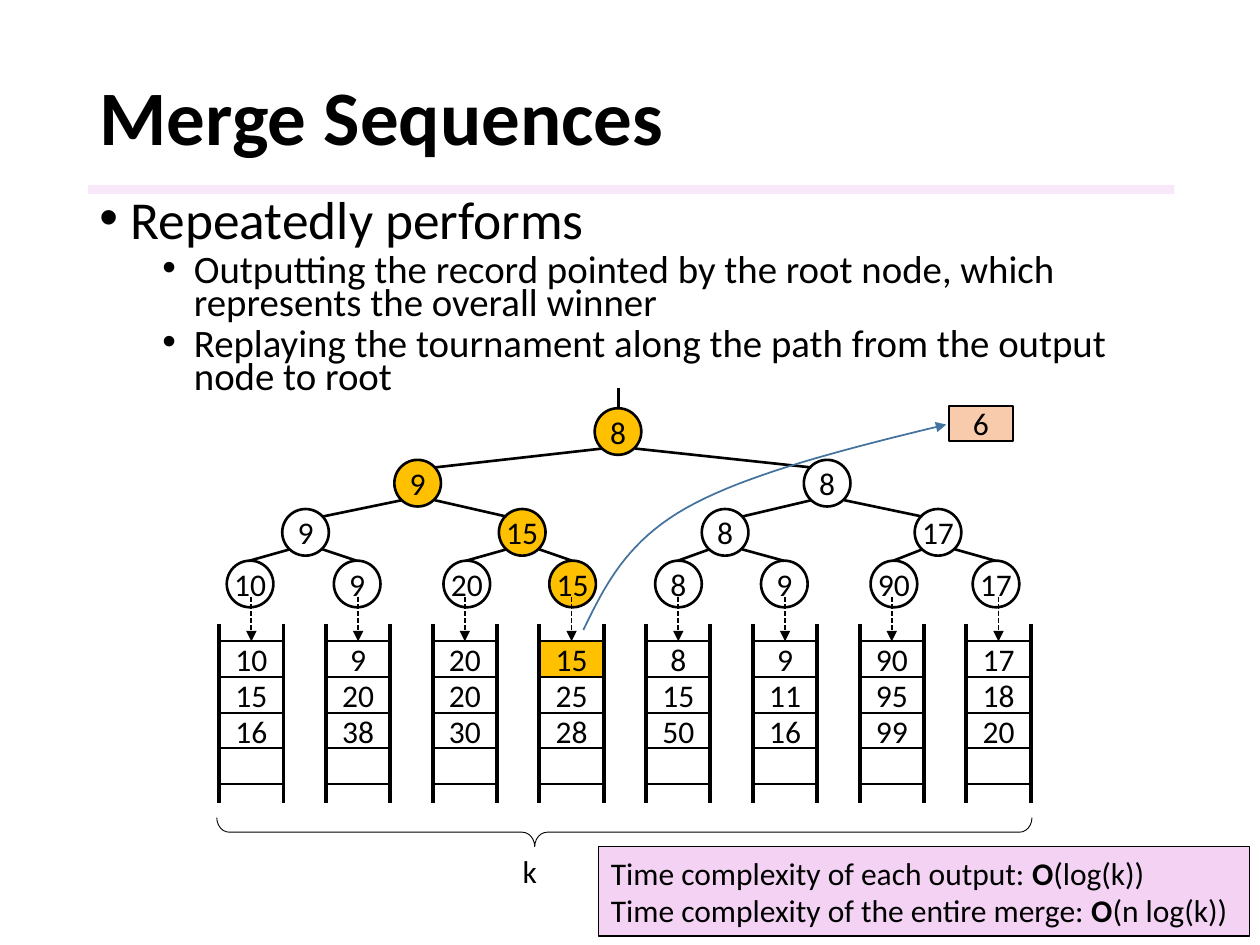
from lxml.etree import SubElement
from pptx import Presentation
from pptx.dml.color import RGBColor
from pptx.enum.dml import MSO_LINE
from pptx.enum.shapes import MSO_CONNECTOR, MSO_SHAPE
from pptx.enum.text import MSO_ANCHOR, PP_ALIGN
from pptx.oxml.ns import qn
from pptx.util import Inches, Pt

BLACK = RGBColor(0x00, 0x00, 0x00)
WHITE = RGBColor(0xFF, 0xFF, 0xFF)
GOLD = RGBColor(0xFF, 0xC0, 0x00)
PEACH = RGBColor(0xF8, 0xCB, 0xAD)
PINK = RGBColor(0xF3, 0xD2, 0xF4)
BLUE = RGBColor(0x43, 0x73, 0x9E)

prs = Presentation()
prs.slide_width, prs.slide_height = Inches(10), Inches(7.5)
s = prs.slides.add_slide(prs.slide_layouts[5])


def write(p, text, size=18, bold=False, align=PP_ALIGN.LEFT, spacing=None, before=0):
    p.alignment = align
    p.line_spacing = spacing
    p.space_before = Pt(before)
    for i, part in enumerate(text.split("*")):
        r = p.add_run()
        r.text = part
        r.font.name = "Calibri"
        r.font.size = Pt(size)
        r.font.bold = bold or i % 2 == 1
        r.font.color.rgb = BLACK


def add_line(x1, y1, x2, y2, width=1.5):
    c = s.shapes.add_connector(MSO_CONNECTOR.STRAIGHT, Inches(x1), Inches(y1), Inches(x2), Inches(y2))
    c.line.color.rgb = BLACK
    c.line.width = Pt(width)
    SubElement(c._element.spPr, qn("a:effectLst"))
    return c


bar = s.shapes.add_shape(MSO_SHAPE.RECTANGLE, Inches(0.7), Inches(1.47), Inches(8.62), Inches(0.07))
bar.shadow.inherit = False
bar.fill.solid()
bar.fill.fore_color.rgb = PINK
bar.line.fill.background()
SubElement(bar._element.spPr.find(".//" + qn("a:srgbClr")), qn("a:alpha"), val="50000")

title = s.shapes.title
title.left, title.top = Inches(0.69), Inches(0.4)
title.width, title.height = Inches(8.62), Inches(1.11)
title.text_frame.vertical_anchor = MSO_ANCHOR.MIDDLE
write(title.text_frame.paragraphs[0], "Merge Sequences", size=44, bold=True, spacing=0.9)

body = s.shapes.add_textbox(Inches(0.69), Inches(1.57), Inches(8.62), Inches(1.68))
tf = body.text_frame
tf.word_wrap = True
bullets = [
    (0, "Repeatedly performs"),
    (1, "Outputting the record pointed by the root node, which represents the overall winner"),
    (1, "Replaying the tournament along the path from the output node to root"),
]
for i, (level, text) in enumerate(bullets):
    p = tf.add_paragraph() if i else tf.paragraphs[0]
    p.level = level
    pPr = p._p.get_or_add_pPr()
    pPr.set("marL", str(Inches(0.25 + 0.5 * level)))
    pPr.set("indent", str(Inches(-0.25)))
    SubElement(pPr, qn("a:buFont"), typeface="Arial")
    SubElement(pPr, qn("a:buChar"), char="•")
    write(p, text, size=22.2 if level else 30.5, spacing=0.7, before=5 * level)

brace = s.shapes.add_shape(MSO_SHAPE.RIGHT_BRACE, Inches(4.84), Inches(3.37), Inches(0.23), Inches(6.47))
brace.rotation = 90
brace.adjustments[0], brace.adjustments[1] = 0.43, 0.61
brace.shadow.inherit = False
brace.fill.background()
brace.line.color.rgb = BLACK
brace.line.width = Pt(0.5)

k_label = s.shapes.add_textbox(Inches(4.05), Inches(6.71), Inches(0.32), Inches(0.4))
k_label.text_frame.word_wrap = False
write(k_label.text_frame.paragraphs[0], "k")

levels = [
    (3.24, [4.72], [8], 0),
    (3.65, [3.13, 6.38], [9, 8], 0),
    (4.04, [2.24, 3.96, 5.57, 7.26], [9, 15, 8, 17], 1),
    (4.45, [1.8, 2.65, 3.52, 4.36, 5.2, 6.04, 6.91, 7.72], [10, 9, 20, 15, 8, 9, 90, 17], 3),
]
sequences = [(10, 15, 16), (9, 20, 38), (20, 20, 30), (15, 25, 28),
             (8, 15, 50), (9, 11, 16), (90, 95, 99), (17, 18, 20)]
cell_w, cell_h = 0.51, 0.85 / 3
columns = [1.74 + i * 5.93 / 7 for i in range(len(sequences))]

boxes = []
for top, lefts, values, winner in levels:
    for i, (x, value) in enumerate(zip(lefts, values)):
        boxes.append((MSO_SHAPE.OVAL, x, top, 0.37, 0.37, [str(value)], GOLD if i == winner else WHITE, 1.5))
for i, (x, sequence) in enumerate(zip(columns, sequences)):
    for row, value in enumerate(sequence + ("",)):
        fill = GOLD if (i, row) == (3, 0) else None
        boxes.append((MSO_SHAPE.RECTANGLE, x, 5.09 + row * cell_h, cell_w, cell_h, [str(value)], fill, 1))
boxes.append((MSO_SHAPE.RECTANGLE, 7.53, 3.22, 0.51, 0.28, ["6"], PEACH, 1))
boxes.append((MSO_SHAPE.RECTANGLE, 4.75, 6.72, 5.17, 0.71,
              ["Time complexity of each output: *O*(log(k))",
               "Time complexity of the entire merge: *O*(n log(k))"], PINK, 0.75))

heads = []
for kind, x, y, w, h, lines, fill, width in boxes:
    sp = s.shapes.add_shape(kind, Inches(x), Inches(y), Inches(w), Inches(h))
    sp.shadow.inherit = False
    if fill is None:
        sp.fill.background()
    else:
        sp.fill.solid()
        sp.fill.fore_color.rgb = fill
    sp.line.color.rgb = BLACK
    sp.line.width = Pt(width)
    tf = sp.text_frame
    tf.vertical_anchor = MSO_ANCHOR.MIDDLE
    if kind == MSO_SHAPE.OVAL:
        tf.margin_left = tf.margin_right = 0
    elif y == 5.09:
        heads.append(sp)
    for i, text in enumerate(lines):
        p = tf.add_paragraph() if i else tf.paragraphs[0]
        if text:
            write(p, text, align=PP_ALIGN.LEFT if len(lines) > 1 else PP_ALIGN.CENTER)

add_line(4.91, 3.08, 4.91, 3.24)
for (top, parents, *_), (child_top, children, *_) in zip(levels, levels[1:]):
    for i, x in enumerate(children):
        start, end = (0.32, 0.06) if i % 2 else (0.06, 0.32)
        drop = 0.06
        if len(children) == 8:
            end, drop = 0.18, 0
        add_line(parents[i // 2] + start, top + 0.32, x + end, child_top + drop)

for x in columns:
    for side in (x, x + cell_w):
        add_line(side, 4.95, side, 6.37, width=2.25)

arrows = []
for x, head in zip(columns, heads):
    middle = x + cell_w / 2
    c = add_line(middle, 4.74, middle, 5.09, width=1)
    c.line.dash_style = MSO_LINE.SQUARE_DOT
    c.end_connect(head, 0)
    arrows.append(c)

curve = [
    [(4.63, 5), (4.8, 4.65), (4.97, 4.3), (5.45, 4.03)],
    [(5.45, 4.03), (5.93, 3.76), (6.72, 3.56), (7.51, 3.37)],
]
steps = 20
points = []
for a, b, c, d in curve:
    for n in range(1, steps + 1):
        t = n / steps
        u = 1 - t
        points.append(tuple(Inches(u**3 * a[j] + 3 * u * u * t * b[j] + 3 * u * t * t * c[j] + t**3 * d[j])
                            for j in (0, 1)))
fb = s.shapes.build_freeform(Inches(4.63), Inches(5))
fb.add_line_segments(points, close=False)
path = fb.convert_to_shape()
path.shadow.inherit = False
path.fill.background()
path.line.color.rgb = BLUE
path.line.width = Pt(1)
arrows.append(path)

for arrow in arrows:
    SubElement(arrow.line._get_or_add_ln(), qn("a:tailEnd"), type="triangle")

prs.save("out.pptx")
